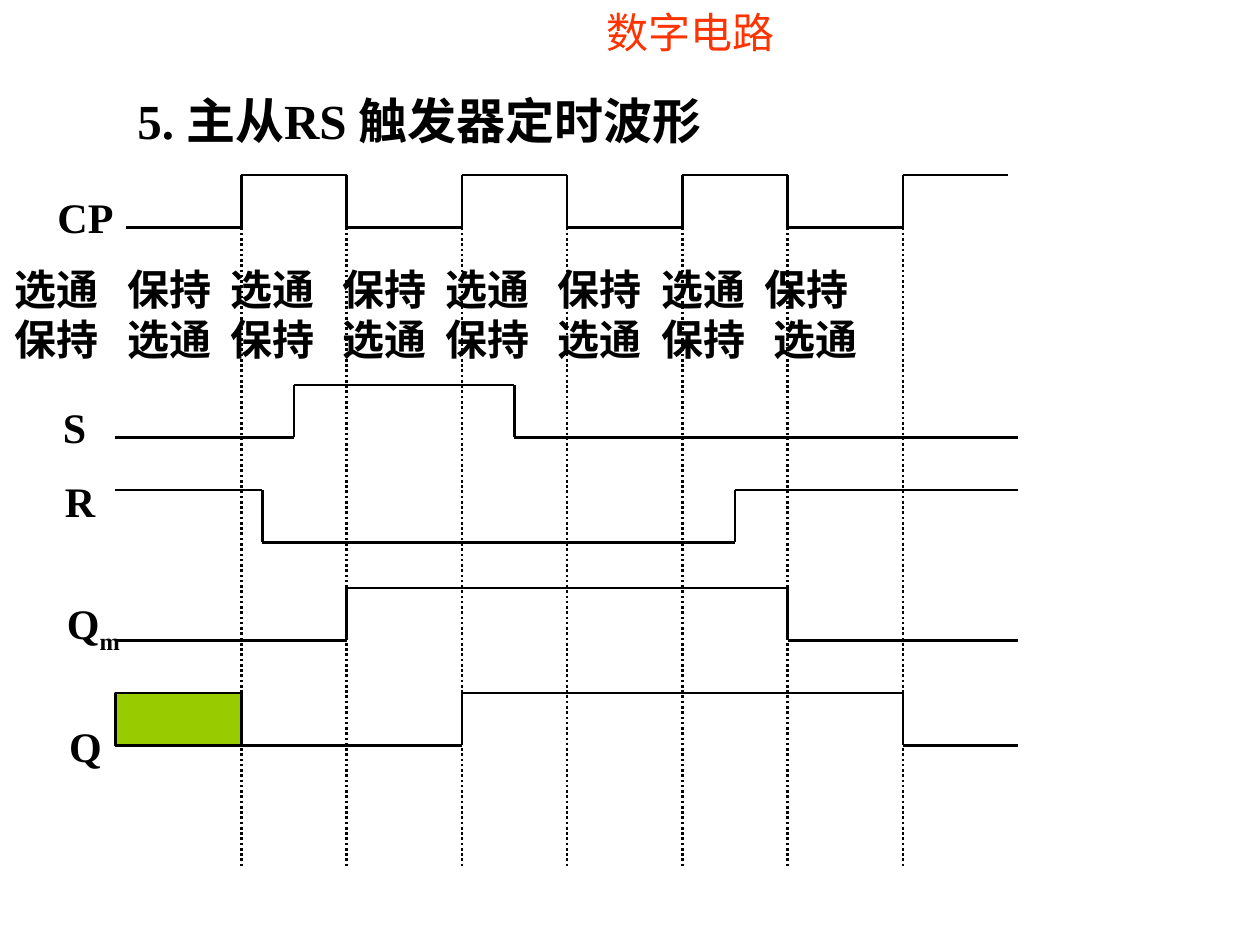
"""Build the timing diagram slide of a master-slave RS flip-flop."""
from dataclasses import dataclass
from itertools import pairwise

from lxml import etree
from pptx import Presentation
from pptx import util as u
from pptx.dml.color import RGBColor
from pptx.enum import dml, shapes, text
from pptx.oxml.ns import qn

COLUMN = u.Pt(6)
ROW = u.Pt(2)
SWING = 15
GUIDES = (23, 33, 44, 54, 65, 75, 86)
BLACK, RED, GREEN = "000000", "FF3300", "99CC00"
SERIF, SANS = "Times New Roman", "Noto Sans CJK SC"


@dataclass
class Wave:
    """A two-level signal that toggles at each edge column."""
    top: float
    edges: tuple[int, ...]
    start: int = 11
    end: int = 97
    starts_high: bool = False


@dataclass
class Label:
    """A block of text placed on the grid."""
    lines: tuple[str, ...]
    left: float
    top: float
    width: float
    height: float = 18
    size: int = 24
    font: str = SERIF
    bold: bool = True
    color: str = BLACK
    align: text.PP_ALIGN = text.PP_ALIGN.LEFT
    wrap: bool = False
    subscript: str = ""
    tabs: tuple[tuple[float, ...], ...] = ()


WAVES = (
    Wave(50, GUIDES, start=12, end=96),
    Wave(110, (28, 49)),
    Wave(140, (25, 70), starts_high=True),
    Wave(168, (33, 75)),
    Wave(198, (44, 86)),
)
PAIR_STOPS = tuple(1.71 * pair + shift for pair in range(4) for shift in (0, 0.89))[1:-1]
LABELS = (
    Label(("数字电路",), 48.7, 0, 34.1, 21.6, font=SANS, bold=False, color=RED,
          align=text.PP_ALIGN.CENTER, wrap=True),
    Label(("5. 主从RS 触发器定时波形",), 11.9, 24, 62, 20.5, size=28, wrap=True),
    Label(("CP",), 4.3, 53, 7.7),
    Label(("\t".join(["选通", "保持"] * 4), "\t".join(["保持", "选通"] * 4)),
          0.24, 73.5, 100, 32.4, wrap=True,
          tabs=(PAIR_STOPS + (5.95,), PAIR_STOPS + (6.02,))),
    Label(("S",), 4.8, 113, 4.6),
    Label(("R",), 5, 134, 5.3),
    Label(("Q",), 5.2, 171, 8.6, 20, wrap=True, subscript="m"),
    Label(("Q",), 5.4, 204, 5.5),
)


def rgb(value: str) -> RGBColor:
    """Turn a hex string into a colour."""
    return RGBColor.from_string(value)


def place(column: float, row: float) -> tuple[int, int]:
    """Turn grid coordinates into slide lengths."""
    return round(column * COLUMN), round(row * ROW)


def draw_line(slide, start: tuple[float, float], end: tuple[float, float], dotted: bool = False) -> None:
    """Draw a straight line between two grid points."""
    connector = slide.shapes.add_connector(
        shapes.MSO_CONNECTOR.STRAIGHT, *place(*start), *place(*end))
    connector.line.color.rgb = rgb(BLACK)
    connector.line.width = u.Pt(1.5)
    if dotted:
        connector.line.dash_style = dml.MSO_LINE.ROUND_DOT
    etree.SubElement(connector._element.spPr, qn("a:effectLst"))


def draw_wave(slide, wave: Wave) -> None:
    """Draw a signal as alternating level and edge lines."""
    high = wave.starts_high
    points = [(wave.start, wave.top + SWING * (not high))]
    for edge in wave.edges:
        points.append((edge, wave.top + SWING * (not high)))
        high = not high
        points.append((edge, wave.top + SWING * (not high)))
    points.append((wave.end, wave.top + SWING * (not high)))
    for start, end in pairwise(points):
        draw_line(slide, start, end)


def add_tabs(paragraph, stops: tuple[float, ...]) -> None:
    """Add left tab stops, given in inches, to a paragraph."""
    tab_list = etree.SubElement(paragraph._p.get_or_add_pPr(), qn("a:tabLst"))
    for stop in stops:
        etree.SubElement(tab_list, qn("a:tab"), pos=str(u.Inches(stop)), algn="l")


def draw_label(slide, label: Label) -> None:
    """Draw a block of text."""
    box = slide.shapes.add_textbox(
        *place(label.left, label.top), *place(label.width, label.height))
    frame = box.text_frame
    frame.word_wrap = label.wrap
    for index, line in enumerate(label.lines):
        paragraph = frame.paragraphs[0] if index == 0 else frame.add_paragraph()
        paragraph.text = line
        if label.tabs:
            add_tabs(paragraph, label.tabs[index])
        paragraph.alignment = label.align
        paragraph.line_spacing = u.Pt(label.size * 1.2)
        font = paragraph.font
        font.size, font.bold, font.name = u.Pt(label.size), label.bold, label.font
        font.color.rgb = rgb(label.color)
        properties = paragraph._p.pPr.find(qn("a:defRPr"))
        etree.SubElement(properties, qn("a:ea"), typeface=SANS)
        if label.subscript:
            run = paragraph.add_run()
            run.text = label.subscript
            run._r.get_or_add_rPr().set("baseline", "-25000")


def draw_unknown_state(slide) -> None:
    """Draw the filled block where the output is not yet known."""
    shape = slide.shapes.add_shape(
        shapes.MSO_SHAPE.RECTANGLE, *place(11, 198), *place(12, SWING))
    shape.shadow.inherit = False
    shape.fill.solid()
    shape.fill.fore_color.rgb = rgb(GREEN)
    shape.line.color.rgb = rgb(BLACK)
    shape.line.width = u.Pt(1.5)


def main() -> None:
    """Build and save the presentation."""
    presentation = Presentation()
    presentation.slide_width, presentation.slide_height = u.Inches(10), u.Inches(7.5)
    slide = presentation.slides.add_slide(presentation.slide_layouts[6])
    for column in GUIDES:
        draw_line(slide, (column, 65), (column, 248), dotted=True)
    for wave in WAVES:
        draw_wave(slide, wave)
    for label in LABELS:
        draw_label(slide, label)
    draw_unknown_state(slide)
    presentation.save("out.pptx")


if __name__ == "__main__":
    main()
